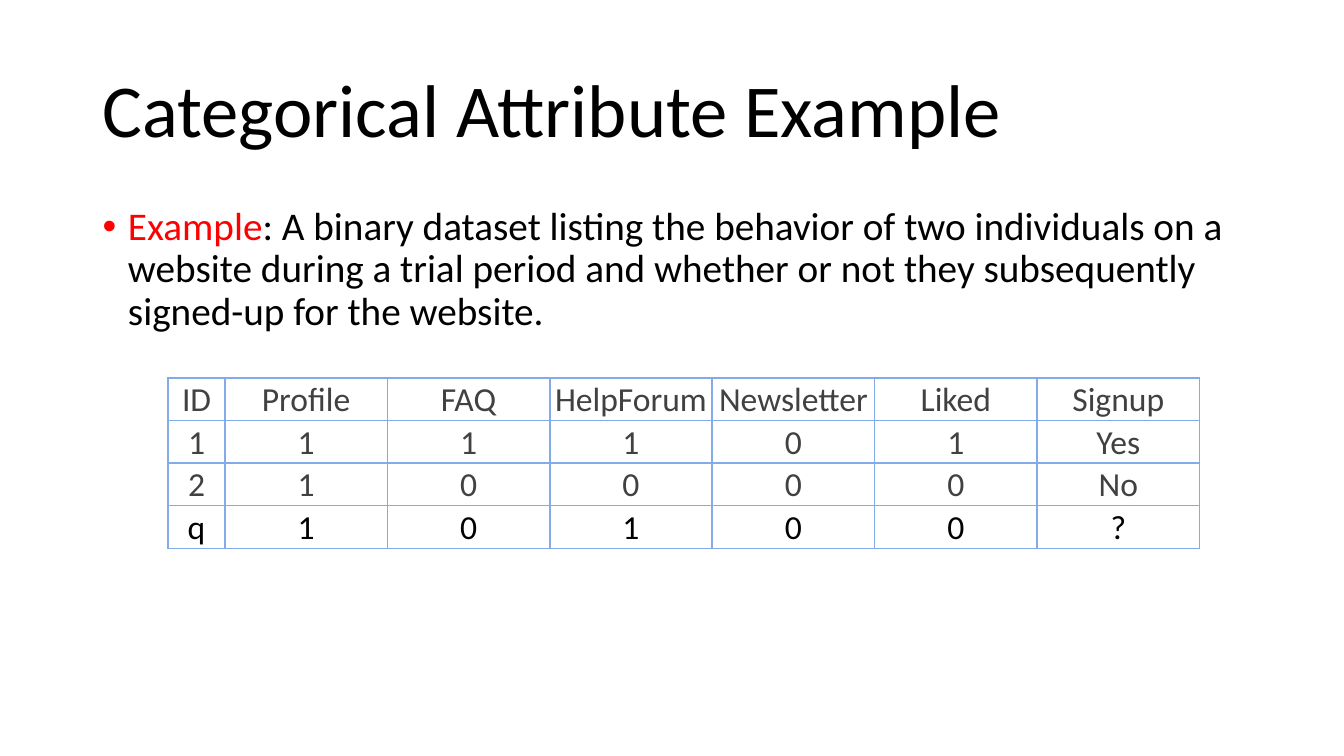
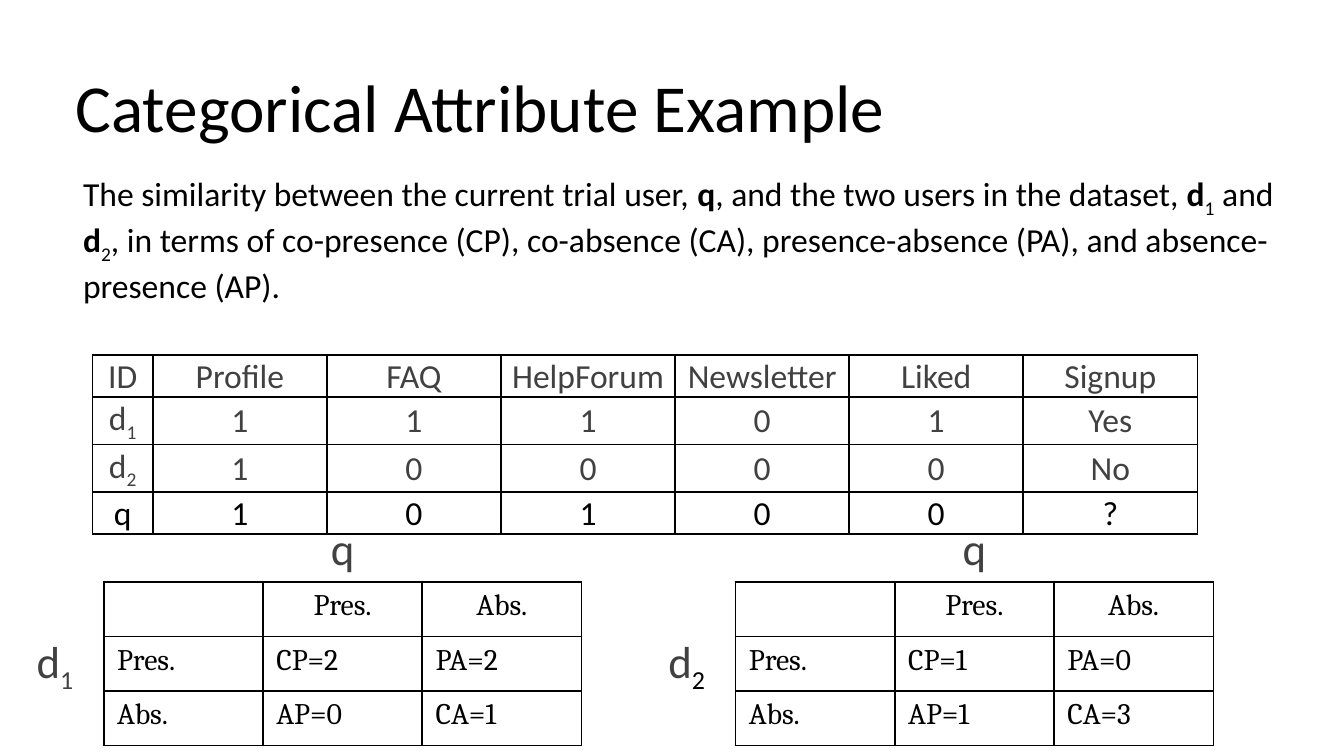
from dataclasses import dataclass
from typing import Optional, Sequence, Union

from lxml.etree import SubElement
from pptx import Presentation
from pptx.dml.color import RGBColor
from pptx.enum.text import MSO_ANCHOR as Anchor
from pptx.enum.text import MSO_AUTO_SIZE as AutoSize
from pptx.enum.text import PP_ALIGN as Align
from pptx.oxml import parse_xml
from pptx.oxml.ns import nsdecls, qn
from pptx.util import Cm, Pt

COLORS = {"black": "000000", "gray": "414141", "red": "FF0000", "blue": "83ABEA"}
TITLE = "Categorical Attribute Example"
TITLE_WIDTH, TITLE_HEIGHT = 21.9, 2.77
PLACEHOLDER_INSETS = (0.19, 0.1, 0.19, 0.1)
LABEL_INSETS = (0.15, 0.15, 0.15, 0.15)
MATRIX_PITCH = 11.94


@dataclass(frozen=True)
class Run:
    text: str
    bold: bool = False
    subscript: bool = False
    color: Optional[str] = None


Content = Union[str, Sequence[Run]]


@dataclass(frozen=True)
class TextStyle:
    size: int
    color: str = "black"
    font: str = "Calibri"
    align: Align = Align.LEFT
    line_spacing: Optional[float] = None


@dataclass(frozen=True)
class Box:
    left: float
    top: float
    width: float
    height: float


@dataclass(frozen=True)
class AttributeTable:
    """Trial-user table; users are the labels of its two known rows."""
    box: Box
    id_width: float
    attribute_width: float
    border: str
    users: Sequence[Content]


@dataclass(frozen=True)
class Matrix:
    """Presence and absence counts of q against one user."""
    user: Content
    counts: Sequence[Sequence[str]]


def subscripted(digit: str, bold: bool = False, color: Optional[str] = None) -> list[Run]:
    return [Run("d", bold=bold), Run(digit, subscript=True, color=color)]


def rgb(name: str) -> RGBColor:
    return RGBColor.from_string(COLORS[name])


def write(paragraph, content: Content, style: TextStyle) -> None:
    paragraph.alignment = style.align
    if style.line_spacing:
        paragraph.line_spacing = style.line_spacing
    paragraph.font.name = style.font
    paragraph.font.size = Pt(style.size)
    paragraph.font.color.rgb = rgb(style.color)
    for part in [Run(content)] if isinstance(content, str) else content:
        run = paragraph.add_run()
        run.text = part.text
        if part.bold:
            run.font.bold = True
        if part.color:
            run.font.color.rgb = rgb(part.color)
        if part.subscript:
            run.font._element.set("baseline", "-25000")


def set_insets(target, insets: Sequence[float]) -> None:
    """Set left, top, right and bottom margins of a text frame or a cell."""
    for side, inset in zip(("left", "top", "right", "bottom"), insets):
        setattr(target, f"margin_{side}", Cm(inset))


def add_text(slide, box: Box, content: Content, style: TextStyle,
             insets: Sequence[float] = LABEL_INSETS, anchor: Anchor = Anchor.MIDDLE,
             wrap: bool = True, grow: bool = False, bullet: Optional[str] = None) -> None:
    shape = slide.shapes.add_textbox(Cm(box.left), Cm(box.top), Cm(box.width), Cm(box.height))
    frame = shape.text_frame
    frame.word_wrap = wrap
    frame.auto_size = AutoSize.SHAPE_TO_FIT_TEXT if grow else AutoSize.NONE
    frame.vertical_anchor = anchor
    set_insets(frame, insets)
    if bullet:
        add_bullet(frame.paragraphs[0], bullet)
    write(frame.paragraphs[0], content, style)


def add_bullet(paragraph, color: str) -> None:
    properties = paragraph._p.get_or_add_pPr()
    properties.set("marL", str(Cm(0.48)))
    properties.set("indent", str(-Cm(0.48)))
    bullet_color = SubElement(properties, qn("a:buClr"))
    SubElement(bullet_color, qn("a:srgbClr"), val=COLORS[color])
    SubElement(properties, qn("a:buFont"), typeface="Arial")
    SubElement(properties, qn("a:buChar"), char="•")


def set_borders(cell, color: str) -> None:
    properties = cell._tc.get_or_add_tcPr()
    for index, side in enumerate(("lnL", "lnR", "lnT", "lnB")):
        properties.insert(index, parse_xml(
            f'<a:{side} {nsdecls("a")} w="{Pt(1)}"><a:solidFill>'
            f'<a:srgbClr val="{COLORS[color]}"/></a:solidFill></a:{side}>'))


def add_grid(slide, box: Box, widths: Sequence[float], row_height: float, border: str,
             row_count: int):
    """Add an unfilled, bordered table and return it."""
    frame = slide.shapes.add_table(row_count, len(widths), Cm(box.left), Cm(box.top),
                                   Cm(box.width), Cm(box.height))
    table = frame.table
    table.first_row = table.horz_banding = False
    for column, width in zip(table.columns, widths):
        column.width = Cm(width)
    for row in table.rows:
        row.height = Cm(row_height)
    frame.height = Cm(box.height)
    for cell in table.iter_cells():
        cell.fill.background()
        set_borders(cell, border)
    return table


def add_attribute_table(slide, spec: AttributeTable) -> None:
    first_user, second_user = spec.users
    rows = [
        ["ID", "Profile", "FAQ", "HelpForum", "Newsletter", "Liked", "Signup"],
        [first_user, "1", "1", "1", "0", "1", "Yes"],
        [second_user, "1", "0", "0", "0", "0", "No"],
        ["q", "1", "0", "1", "0", "0", "?"],
    ]
    widths = [spec.id_width] + [spec.attribute_width] * 6
    table = add_grid(slide, spec.box, widths, 0.53, spec.border, len(rows))
    for row_index, row in enumerate(rows):
        color = "black" if row[0] == "q" else "gray"
        for column_index, content in enumerate(row):
            cell = table.cell(row_index, column_index)
            cell.vertical_anchor = Anchor.MIDDLE
            set_insets(cell, (0.03, 0.03, 0.03, 0))
            write(cell.text_frame.paragraphs[0], content,
                  TextStyle(18, color, align=Align.CENTER))


def add_matrix(slide, spec: Matrix, shift: float) -> None:
    states = ["Pres.", "Abs."]
    rows = [["", *states]] + [[state, *counts] for state, counts in zip(states, spec.counts)]
    table = add_grid(slide, Box(1.96 + shift, 11, 9.03, 3.09), [3.01] * 3, 1.03, "black", 3)
    for row_index, row in enumerate(rows):
        align = Align.CENTER if row_index == 0 else Align.LEFT
        for column_index, content in enumerate(row):
            paragraph = table.cell(row_index, column_index).text_frame.paragraphs[0]
            write(paragraph, content, TextStyle(16, font="Cambria", align=align))
    label_style = TextStyle(24, "gray", align=Align.CENTER)
    for box, label in ((Box(0.53 + shift, 11.89, 1.02, 1.32), spec.user),
                       (Box(6.02 + shift, 9.7, 0.91, 1.32), "q ")):
        add_text(slide, box, label, label_style, wrap=False, grow=True)


def add_titled_slide(presentation, left: float, top: float, size: int):
    slide = presentation.slides.add_slide(presentation.slide_layouts[6])
    add_text(slide, Box(left, top, TITLE_WIDTH, TITLE_HEIGHT), TITLE,
             TextStyle(size, line_spacing=0.9), PLACEHOLDER_INSETS)
    return slide


def build_dataset_slide(presentation) -> None:
    slide = add_titled_slide(presentation, 1.75, 0.76, 40)
    example = [
        Run("Example", color="red"),
        Run(": A binary dataset listing the behavior of two individuals on a website during "
            "a trial period and whether or not they subsequently signed-up for the website."),
    ]
    add_text(slide, Box(1.75, 3.81, 21.9, 9.07), example, TextStyle(21, line_spacing=0.9),
             PLACEHOLDER_INSETS, Anchor.TOP, bullet="red")
    add_attribute_table(slide, AttributeTable(
        Box(3.18, 7.14, 19.49, 3.15), 1.07, 3.07, "blue", ["1", "2"]))


def build_similarity_slide(presentation) -> None:
    slide = add_titled_slide(presentation, 1.24, 0.71, 36)
    similarity = [
        Run("The similarity between the current trial user, "),
        Run("q", bold=True),
        Run(", and the two users in the dataset, "),
        *subscripted("1", bold=True),
        Run(" and "),
        *subscripted("2", bold=True),
        Run(", in terms of co-presence (CP), co-absence (CA), presence-absence (PA), "
            "and absence-presence (AP)."),
    ]
    add_text(slide, Box(1.42, 3.23, 23.11, 2.59), similarity, TextStyle(18), grow=True)
    add_attribute_table(slide, AttributeTable(
        Box(1.75, 6.71, 20.88, 3.15), 1.14, 3.29, "black",
        [subscripted("1"), subscripted("2")]))
    matrices = [
        Matrix(subscripted("1"), [["CP=2", "PA=2"], ["AP=0", "CA=1"]]),
        Matrix(subscripted("2", color="black"), [["CP=1", "PA=0"], ["AP=1", "CA=3"]]),
    ]
    for index, matrix in enumerate(matrices):
        add_matrix(slide, matrix, index * MATRIX_PITCH)


def main() -> None:
    presentation = Presentation()
    presentation.slide_width = Cm(25.4)
    presentation.slide_height = Cm(14.29)
    build_dataset_slide(presentation)
    build_similarity_slide(presentation)
    presentation.save("out.pptx")


if __name__ == "__main__":
    main()
